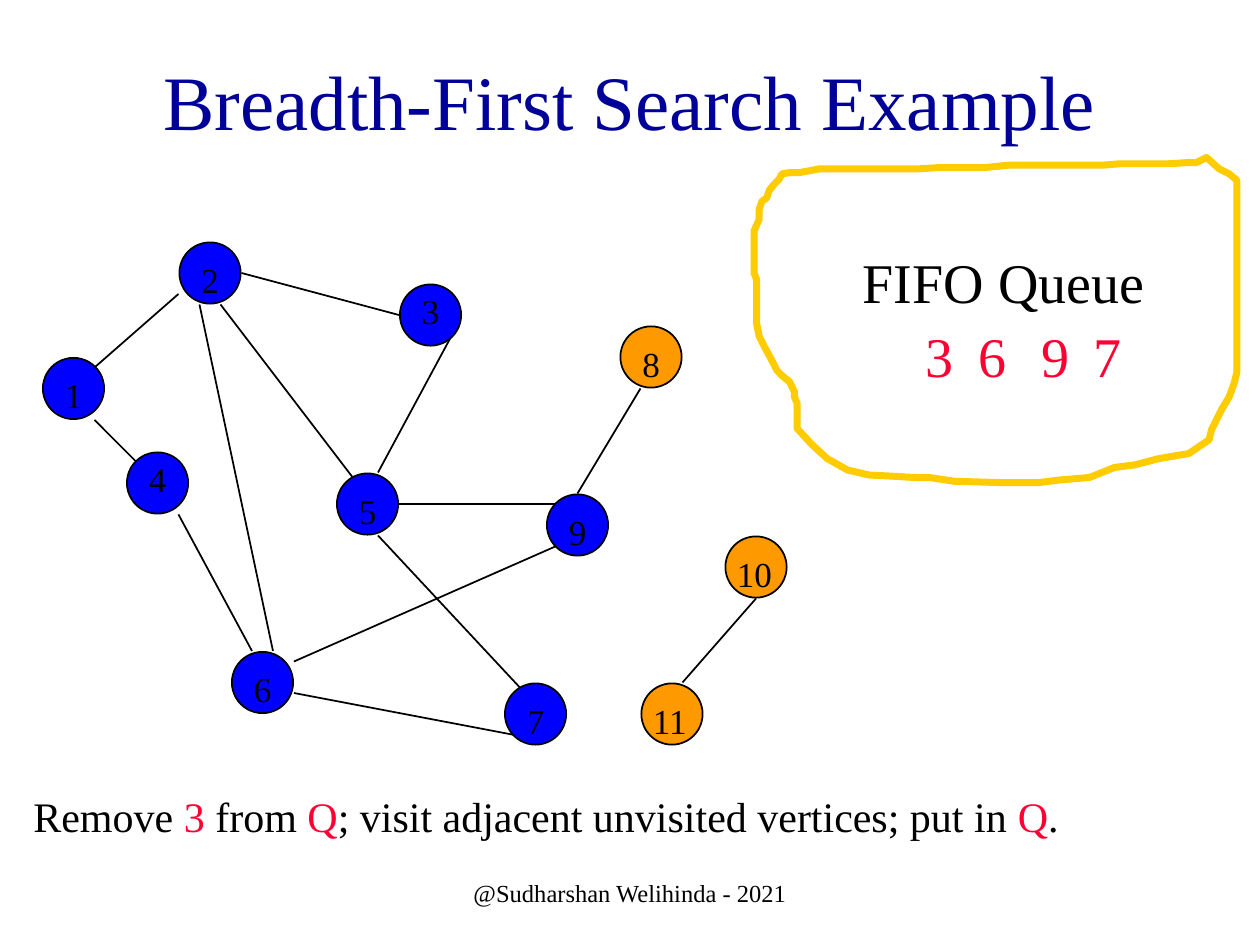
from pptx import Presentation
from pptx.dml.color import RGBColor
from pptx.enum.shapes import MSO_CONNECTOR, MSO_SHAPE
from pptx.enum.text import MSO_ANCHOR, PP_ALIGN
from pptx.oxml.ns import qn
from pptx.util import Pt

LEFT, CENTER = PP_ALIGN.LEFT, PP_ALIGN.CENTER
TOP, MIDDLE = MSO_ANCHOR.TOP, MSO_ANCHOR.MIDDLE
ELLIPSE = MSO_SHAPE.OVAL
STRAIGHT = MSO_CONNECTOR.STRAIGHT

FONT = "Times New Roman"
BLACK, NAVY, RED = "000000", "000099", "FF0033"
VISITED, UNVISITED, YELLOW = "0000FF", "FF9900", "FFCC00"

GRID = 6
NODE = 36
VERTICES = {
    1: (0, 11), 2: (13, 0), 3: (34, 4), 4: (8, 20), 5: (28, 22), 6: (18, 39),
    7: (44, 42), 8: (55, 8), 9: (48, 24), 10: (65, 28), 11: (57, 42),
}
UNVISITED_VERTICES = {8, 10, 11}
RAISED_LABELS = {3, 4}
EDGES = [
    (13, 5, 5, 12), (17, 6, 30, 23), (5, 17, 9, 21), (13, 26, 20, 39),
    (24, 43, 45, 47), (39, 9, 32, 22), (32, 28, 46, 43), (57, 14, 51, 24),
    (61, 42, 68, 34), (34, 25, 49, 25), (19, 3, 34, 7), (15, 6, 22, 39),
    (24, 40, 49, 29),
]
QUEUE = [("3", 91), ("6", 121), ("9", 157), ("7", 187)]
LOOP = [
    (359, 0), (351, 4), (345, 4), (329, 5), (290, 5), (278, 6), (203, 6),
    (183, 8), (147, 8), (131, 9), (52, 9), (36, 12), (28, 12), (22, 13),
    (20, 17), (16, 21), (12, 26), (10, 32), (6, 35), (4, 41), (4, 49),
    (0, 58), (0, 92), (2, 97), (2, 132), (4, 142), (8, 150), (14, 161),
    (18, 169), (22, 173), (28, 178), (32, 186), (32, 190), (34, 195),
    (34, 215), (46, 228), (58, 239), (74, 248), (91, 252), (111, 253),
    (127, 254), (139, 254), (159, 257), (195, 258), (226, 258), (242, 256),
    (266, 254), (286, 246), (302, 244), (321, 239), (345, 235), (361, 224),
    (363, 216), (371, 200), (377, 190), (381, 179), (383, 171), (383, 18),
    (377, 13), (369, 9),
]


def color(value):
    return RGBColor.from_string(value)


def add_text(slide, box, text, size=20, fill=BLACK, align=LEFT, anchor=TOP):
    runs = [(text, fill)] if isinstance(text, str) else text
    frame = slide.shapes.add_textbox(*map(Pt, box)).text_frame
    frame.word_wrap = True
    frame.vertical_anchor = anchor
    paragraph = frame.paragraphs[0]
    paragraph.alignment = align
    for words, tint in runs:
        run = paragraph.add_run()
        run.text = words
        run.font.name = FONT
        run.font.size = Pt(size)
        run.font.color.rgb = color(tint)


def add_outline(line, tint, width):
    line.color.rgb = color(tint)
    line.width = Pt(width)


def add_edge(slide, x1, y1, x2, y2):
    edge = slide.shapes.add_connector(STRAIGHT, Pt(x1), Pt(y1), Pt(x2), Pt(y2))
    add_outline(edge.line, BLACK, 1)
    properties = edge._element.spPr
    properties.append(properties.makeelement(qn("a:effectLst"), {}))


def add_vertex(slide, number, x, y):
    circle = slide.shapes.add_shape(
        ELLIPSE, Pt(x + 0.5), Pt(y + 0.5), Pt(NODE - 1), Pt(NODE - 1))
    circle.shadow.inherit = False
    circle.fill.solid()
    circle.fill.fore_color.rgb = color(
        UNVISITED if number in UNVISITED_VERTICES else VISITED)
    add_outline(circle.line, BLACK, 1)
    indent, width = (GRID, 18) if number < 10 else (0, NODE)
    drop = 0 if number in RAISED_LABELS else GRID
    add_text(slide, (x + indent, y + drop, width, 31), str(number))


def add_graph(slide, left, top):
    for x1, y1, x2, y2 in EDGES:
        add_edge(slide, left + GRID * x1, top + GRID * y1,
                 left + GRID * x2, top + GRID * y2)
    for number, (column, row) in VERTICES.items():
        add_vertex(slide, number, left + GRID * column, top + GRID * row)


def add_queue(slide, left, top):
    builder = slide.shapes.build_freeform(*LOOP[0], scale=Pt(0.72))
    builder.add_line_segments(LOOP[1:], close=True)
    loop = builder.convert_to_shape(Pt(left), Pt(top))
    loop.shadow.inherit = False
    loop.fill.background()
    add_outline(loop.line, YELLOW, 4)
    add_text(slide, (left + 55, top + 48, 222, 104), "FIFO Queue", size=32)
    for vertex, offset in QUEUE:
        add_text(slide, (left + offset, top + 90, 30, 45), vertex,
                 size=32, fill=RED)


def main():
    presentation = Presentation()
    presentation.slide_width, presentation.slide_height = Pt(720), Pt(540)
    slide = presentation.slides.add_slide(presentation.slide_layouts[6])
    add_text(slide, (54, 12, 612, 90), "Breadth-First Search Example",
             size=44, fill=NAVY, align=CENTER, anchor=MIDDLE)
    add_graph(slide, 24, 138)
    add_queue(slide, 431, 90)
    step = [
        ("Remove ", BLACK), ("3", RED), (" from ", BLACK), ("Q", RED),
        ("; visit adjacent unvisited vertices; put in ", BLACK),
        ("Q", RED), (".", BLACK),
    ]
    add_text(slide, (12, 448, 708, 56), step, size=24)
    add_text(slide, (246, 492, 228, 36), "@Sudharshan Welihinda - 2021",
             size=14, align=CENTER, anchor=MIDDLE)
    presentation.save("out.pptx")


if __name__ == "__main__":
    main()
